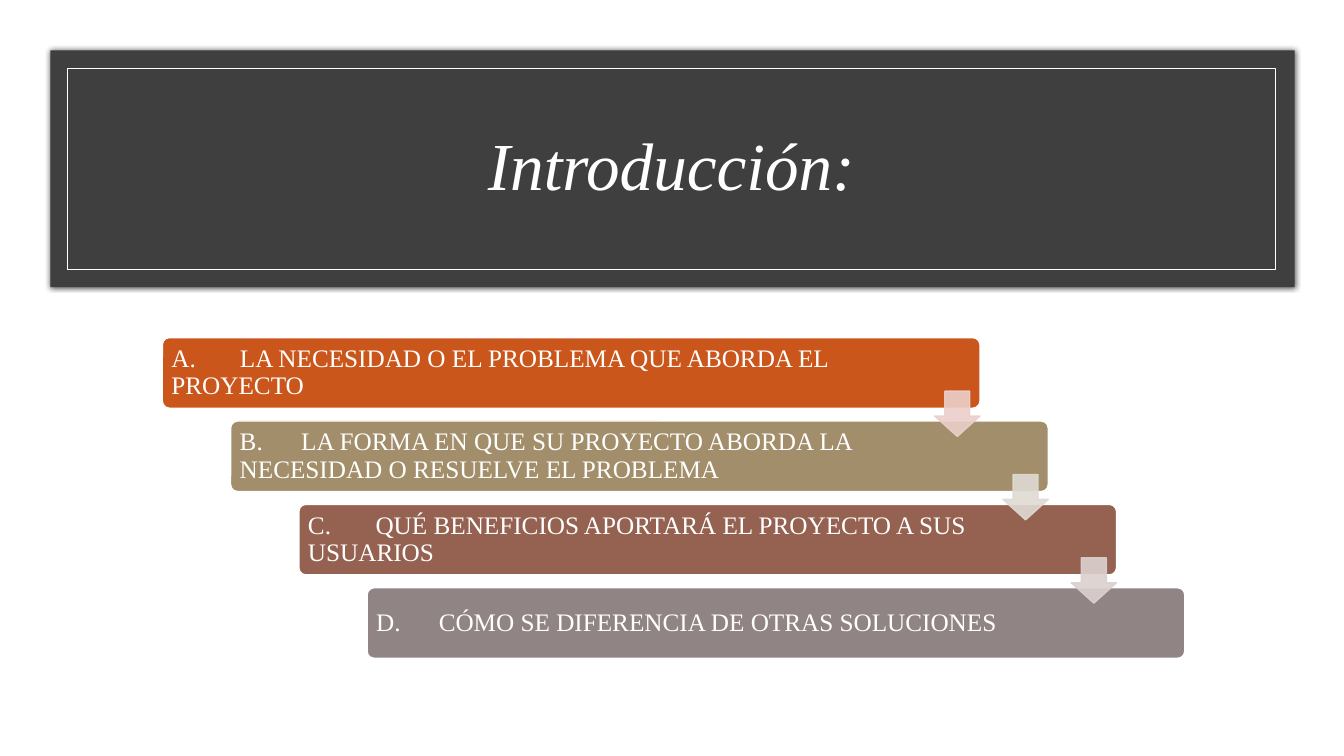
import pptx
import pptx.dml.color
import pptx.enum.shapes
import pptx.enum.text
import pptx.oxml.ns
import pptx.util
from lxml import etree

Inches, Pt = pptx.util.Inches, pptx.util.Pt
SHAPE = pptx.enum.shapes.MSO_SHAPE
ALIGN = pptx.enum.text.PP_ALIGN
MIDDLE = pptx.enum.text.MSO_ANCHOR.MIDDLE
qn = pptx.oxml.ns.qn


def rgb(hex_color):
    return pptx.dml.color.RGBColor.from_string(hex_color)


def child(parent, tag, **attrs):
    return etree.SubElement(parent, qn(tag), attrs)


class Deck:
    font = "Times New Roman"
    white = "FFFFFF"

    def __init__(self):
        self.prs = pptx.Presentation()
        self.prs.slide_width, self.prs.slide_height = Inches(13.33), Inches(7.5)
        self.s = self.prs.slides.add_slide(self.prs.slide_layouts[5])
        self.s.background.fill.solid()
        self.s.background.fill.fore_color.rgb = rgb(self.white)

    def shape(self, kind, box, fill=None, line=None, width=1, adj=(), opacity=100):
        sp = self.s.shapes.add_shape(kind, *map(Inches, box))
        sp.shadow.inherit = False
        for i, value in enumerate(adj):
            sp.adjustments[i] = value
        if fill:
            sp.fill.solid()
            sp.fill.fore_color.rgb = rgb(fill)
        else:
            sp.fill.background()
        if line:
            sp.line.color.rgb = rgb(line)
            sp.line.width = Pt(width)
        else:
            sp.line.fill.background()
        if opacity < 100:
            for color in sp._element.spPr.iter(qn("a:srgbClr")):
                child(color, "a:alpha", val=str(opacity * 1000))
        return sp

    def glow_shadow(self, sp, color, opacity, blur):
        effects = sp._element.spPr.find(qn("a:effectLst"))
        shadow = child(effects, "a:outerShdw", blurRad=str(Pt(blur)), dist="0", dir="0")
        clr = child(shadow, "a:srgbClr", val=color)
        child(clr, "a:alpha", val=str(opacity * 1000))

    def text(self, sp, text, size, align, insets, italic=False, tab=None):
        tf = sp.text_frame
        left, top, right, bottom = map(Inches, insets)
        frame = dict(word_wrap=True, vertical_anchor=MIDDLE, margin_left=left,
                     margin_top=top, margin_right=right, margin_bottom=bottom,
                     auto_size=pptx.enum.text.MSO_AUTO_SIZE.NONE)
        for name, value in frame.items():
            setattr(tf, name, value)
        p = tf.paragraphs[0]
        p.alignment, p.line_spacing = align, 0.9
        if tab:
            tabs = child(p._p.get_or_add_pPr(), "a:tabLst")
            child(tabs, "a:tab", pos=str(Inches(tab)), algn="l")
        r = p.add_run()
        r.text = text
        for name, value in dict(name=self.font, size=Pt(size), italic=italic).items():
            setattr(r.font, name, value)
        r.font.color.rgb = rgb(self.white)

    def title(self, text, box):
        sp = self.s.shapes.title
        sp.left, sp.top, sp.width, sp.height = map(Inches, box)
        sp._element.getparent().append(sp._element)  # in front of the banner
        self.text(sp, text, 48, ALIGN.CENTER, (0.1, 0.05, 0.1, 0.05), italic=True)


def main():
    deck = Deck()

    # Banner and title
    banner = deck.shape(SHAPE.RECTANGLE, (0.5, 0.5, 12.34, 2.35), "3F3F3F")
    deck.glow_shadow(banner, "000000", 66, 4)
    deck.shape(SHAPE.RECTANGLE, (0.67, 0.68, 11.98, 1.99), line=deck.white, width=0.75)
    deck.title("Introducción:", (1.16, 0.92, 11, 1.5))

    # Staircase of steps: label, text, fill, tab position
    steps = [
        ("A.", "LA NECESIDAD O EL PROBLEMA QUE ABORDA EL PROYECTO", "CB561C", 0.68),
        ("B.", "LA FORMA EN QUE SU PROYECTO ABORDA LA NECESIDAD O RESUELVE EL PROBLEMA",
         "A28E6A", 0.61),
        ("C.", "QUÉ BENEFICIOS APORTARÁ EL PROYECTO A SUS USUARIOS", "956251", 0.67),
        ("D.", "CÓMO SE DIFERENCIA DE OTRAS SOLUCIONES", "918485", 0.62),
    ]
    dx, dy = 0.677, 0.827
    for i, (label, text, fill, tab) in enumerate(steps):
        bar = deck.shape(SHAPE.ROUNDED_RECTANGLE, (1.61 + i * dx, 3.35 + i * dy, 8.11, 0.7),
                         fill, deck.white, adj=(0.1,))
        deck.text(bar, f"{label}\t{text}", 18, ALIGN.LEFT, (0.07, 0.07, 1.2, 0.07), tab=tab)

    # Arrows from each step to the next
    for i, color in enumerate(["EBCFCA", "DFDAD3", "DBD1CF"]):
        deck.shape(SHAPE.DOWN_ARROW, (9.27 + i * dx, 3.88 + i * dy, 0.45, 0.45),
                   color, color, adj=(0.55, 0.45), opacity=90)

    deck.prs.save("out.pptx")


if __name__ == "__main__":
    main()
